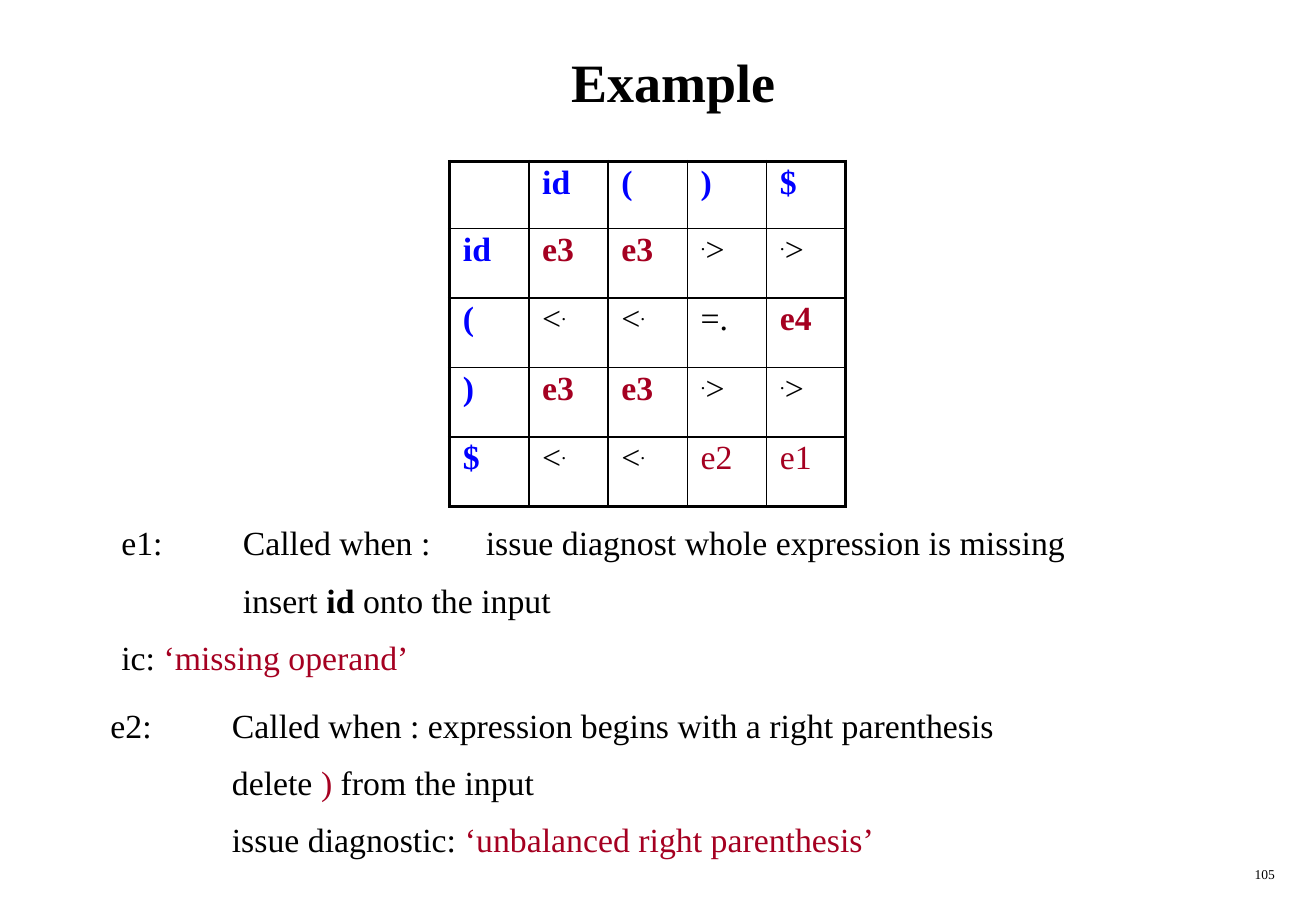
import pptx
import pptx.util
import pptx.dml.color
import pptx.enum.text
import pptx.oxml
import pptx.oxml.ns
import lxml.etree

W, H = 10.83, 7.5
FONT = "Times New Roman"
BLACK, WHITE, BLUE, RED = "000000", "FFFFFF", "0000FF", "A50021"
ALIGN = pptx.enum.text.PP_ALIGN
ANCHOR = pptx.enum.text.MSO_ANCHOR

SYMBOLS = ["id", "(", ")", "$"]
RELATIONS = [
    ["e3", "e3", ".>", ".>"],
    ["<.", "<.", "=.", "e4"],
    ["e3", "e3", ".>", ".>"],
    ["<.", "<.", "e2", "e1"],
]
E1_LINES = [
    [("e1:\tCalled when : \tissue diagnost whole expression is missing", {})],
    [("\tinsert ", {}), ("id", {"bold": True}), (" onto the input", {})],
    [("ic: ", {}), ("‘missing operand’", {"color": RED})],
]
E2_LINES = [
    [("e2:\tCalled when : expression begins with a right parenthesis", {})],
    [("\tdelete ", {}), (")", {"color": RED}), (" from the input", {})],
    [("\tissue diagnostic: ", {}), ("‘unbalanced right parenthesis’", {"color": RED})],
]


def rgb(value):
    """Turn a hex string into a colour."""
    return pptx.dml.color.RGBColor.from_string(value)


def place(sp, box):
    """Move a shape to a box given in inches."""
    for name, value in zip(("left", "top", "width", "height"), box):
        setattr(sp, name, pptx.util.Inches(value))


def add_run(p, text, size=20, color=BLACK, bold=False, raised=False):
    """Add one formatted run to a paragraph."""
    r = p.add_run()
    r.text = text
    for name, value in {"name": FONT, "size": pptx.util.Pt(size), "bold": bold}.items():
        setattr(r.font, name, value)
    r.font.color.rgb = rgb(color)
    if raised:
        r.font._element.set("baseline", "30000")


def add_child(parent, tag, **attrs):
    """Append a drawing element with attributes."""
    child = lxml.etree.SubElement(parent, pptx.oxml.ns.qn(tag))
    for name, value in attrs.items():
        child.set(name, str(value))
    return child


def add_title(s, text, box):
    """Place and format the slide title."""
    sp = s.shapes.title
    place(sp, box)
    sp.text_frame.vertical_anchor = ANCHOR.MIDDLE
    p = sp.text_frame.paragraphs[0]
    p.alignment = ALIGN.CENTER
    add_run(p, text, size=32, bold=True)


def add_borders(cell, row, col, last):
    """Draw thick lines on the table edge and thin lines inside."""
    tcPr = cell._tc.get_or_add_tcPr()
    edges = {"a:lnL": col == 0, "a:lnR": col == last, "a:lnT": row == 0, "a:lnB": row == last}
    for tag, outer in edges.items():
        ln = add_child(tcPr, tag, w=pptx.util.Pt(2.25 if outer else 1))
        add_child(add_child(ln, "a:solidFill"), "a:srgbClr", val=BLACK)


def fill_cell(p, text, header):
    """Write a symbol, an error code or a precedence relation."""
    if header:
        add_run(p, text, color=BLUE, bold=True)
    elif text.startswith("e"):
        add_run(p, text, color=RED, bold=text in ("e3", "e4"))
    elif text == "=.":
        add_run(p, text)
    else:
        for mark in text:
            add_run(p, mark, raised=mark == ".")


def add_relation_table(s, box):
    """Build the operator precedence table."""
    rows = [[""] + SYMBOLS] + [[sym] + line for sym, line in zip(SYMBOLS, RELATIONS)]
    n = len(rows)
    table = s.shapes.add_table(n, n, *map(pptx.util.Inches, box)).table
    table.first_row = table.horz_banding = False
    head = 0.55
    for i, line in enumerate(rows):
        table.columns[i].width = pptx.util.Inches(box[2] / n)
        table.rows[i].height = pptx.util.Inches((box[3] - head) / (n - 1) if i else head)
        for j, text in enumerate(line):
            cell = table.cell(i, j)
            cell.margin_left = cell.margin_right = pptx.util.Inches(0.11)
            add_borders(cell, i, j, n - 1)
            cell.fill.solid()
            cell.fill.fore_color.rgb = rgb(WHITE)
            p = cell.text_frame.paragraphs[0]
            p.line_spacing = 0.89
            if text:
                fill_cell(p, text, i == 0 or j == 0)


def add_text(s, lines, box, size=20, align=ALIGN.LEFT, tabs=()):
    """Add a text box with one paragraph per line."""
    tf = s.shapes.add_textbox(*map(pptx.util.Inches, box)).text_frame
    tf.word_wrap = True
    for i, runs in enumerate(lines):
        p = tf.add_paragraph() if i else tf.paragraphs[0]
        p.alignment = align
        p.space_before = pptx.util.Pt(10 if i else 0)
        if tabs:
            tab_list = add_child(p._p.get_or_add_pPr(), "a:tabLst")
            for pos in tabs:
                add_child(tab_list, "a:tab", pos=pptx.util.Inches(pos), algn="l")
        for text, fmt in runs:
            add_run(p, text, size=size, **fmt)


def main():
    """Build and save the slide."""
    prs = pptx.Presentation()
    prs.slide_width, prs.slide_height = pptx.util.Inches(W), pptx.util.Inches(H)
    s = prs.slides.add_slide(prs.slide_layouts[5])
    add_title(s, "Example", (0.42, 0.17, 10.25, 1))
    add_relation_table(s, (3.7, 1.33, 3.26, 2.84))
    for lines, left, top in ((E1_LINES, 0.9, 4.25), (E2_LINES, 0.81, 5.75)):
        add_text(s, lines, (left, top, 8.49, 1.4), tabs=(1, 3))
    add_text(s, [[("105", {})]], (8.33, 7.08, 2.26, 0.25), size=8, align=ALIGN.RIGHT)
    prs.save("out.pptx")


if __name__ == "__main__":
    main()
